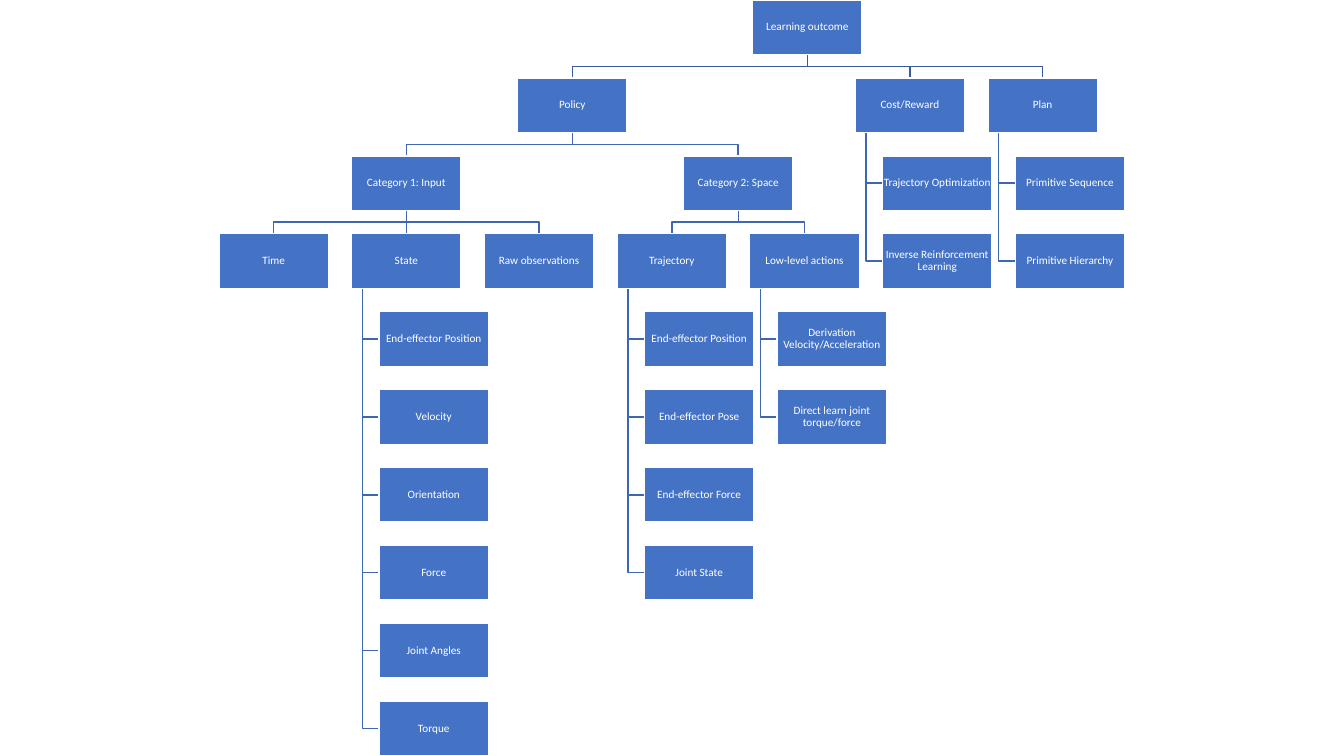
from lxml import etree
from pptx import Presentation
from pptx.dml.color import RGBColor
from pptx.enum.shapes import MSO_CONNECTOR, MSO_SHAPE
from pptx.enum.text import MSO_ANCHOR, PP_ALIGN
from pptx.oxml.ns import qn
from pptx.util import Pt

RECTANGLE = MSO_SHAPE.RECTANGLE
STRAIGHT = MSO_CONNECTOR.STRAIGHT
MIDDLE = MSO_ANCHOR.MIDDLE
CENTER = PP_ALIGN.CENTER

BOX_BLUE = RGBColor(0x44, 0x72, 0xC4)
TOP_BRANCH_BLUE = RGBColor(0x36, 0x5B, 0x9D)
BRANCH_BLUE = RGBColor(0x3E, 0x67, 0xB2)
WHITE = RGBColor(0xFF, 0xFF, 0xFF)

# All lengths are in points.
SLIDE_W, SLIDE_H = 960, 540
BOX_W, BOX_H = 78.25, 39.1
FIRST_LEFT, COLUMN_PITCH = 156.4, 94.8
ROW_PITCH = (SLIDE_H - BOX_H) / 9
INDENT = BOX_W / 4
STEM_OFFSET = BOX_W / 10

# Parents whose children sit side by side, lowest level first.
FORKS = {
    "Category 1: Input": ["Time", "State", "Raw observations"],
    "Category 2: Space": ["Trajectory", "Low-level actions"],
    "Policy": ["Category 1: Input", "Category 2: Space"],
    "Learning outcome": ["Policy", "Cost/Reward", "Plan"],
}
FORK_ROWS = {"Category 1: Input": 2, "Category 2: Space": 2, "Policy": 1, "Learning outcome": 0}

# Parents whose children hang below them from one stem.
STACKS = {
    "State": ["End-effector Position", "Velocity", "Orientation", "Force", "Joint Angles", "Torque"],
    "Trajectory": ["End-effector Position", "End-effector Pose", "End-effector Force", "Joint State"],
    "Low-level actions": ["Derivation Velocity/Acceleration", "Direct learn joint torque/force"],
    "Cost/Reward": ["Trajectory Optimization", "Inverse Reinforcement Learning"],
    "Plan": ["Primitive Sequence", "Primitive Hierarchy"],
}

prs = Presentation()
prs.slide_width, prs.slide_height = Pt(SLIDE_W), Pt(SLIDE_H)
slide = prs.slides.add_slide(prs.slide_layouts[6])


def add_branch(points, color):
    """Draw an open line through the points, straight or with corners."""
    corners = [(Pt(x), Pt(y)) for x, y in points]
    if corners[0][0] == corners[-1][0]:
        branch = slide.shapes.add_connector(STRAIGHT, *corners[0], *corners[-1])
        etree.SubElement(branch.line._get_or_add_ln().getparent(), qn("a:effectLst"))
    else:
        builder = slide.shapes.build_freeform(*corners[0])
        builder.add_line_segments(corners[1:], close=False)
        branch = builder.convert_to_shape()
        branch.fill.background()
        branch.shadow.inherit = False
    branch.line.color.rgb = color
    branch.line.width = Pt(1)


def add_topic(label, left, top):
    box = slide.shapes.add_shape(RECTANGLE, Pt(left), Pt(top), Pt(BOX_W), Pt(BOX_H))
    box.shadow.inherit = False
    box.fill.solid()
    box.fill.fore_color.rgb = BOX_BLUE
    box.line.color.rgb = WHITE
    box.line.width = Pt(1)
    frame = box.text_frame
    frame.word_wrap = True
    frame.vertical_anchor = MIDDLE
    frame.margin_left = frame.margin_right = Pt(0.4)
    frame.margin_top = frame.margin_bottom = Pt(0.4)
    paragraph = frame.paragraphs[0]
    paragraph.alignment = CENTER
    paragraph.line_spacing = 0.9
    run = paragraph.add_run()
    run.text = label
    run.font.name = "Calibri"
    run.font.size = Pt(8)
    run.font.color.rgb = WHITE


# Columns of the lower topics; the last two start one indent further left.
places = {}
for column, label in enumerate(["Time", "State", "Raw observations", "Trajectory", "Low-level actions"]):
    places[label] = (FIRST_LEFT + column * COLUMN_PITCH, 3 * ROW_PITCH)
for column, label in enumerate(["Cost/Reward", "Plan"], start=5):
    places[label] = (FIRST_LEFT + column * COLUMN_PITCH - INDENT, ROW_PITCH)

# Each fork is centred over its outer children.
for parent, children in FORKS.items():
    left = (places[children[0]][0] + places[children[-1]][0]) / 2
    places[parent] = (left, FORK_ROWS[parent] * ROW_PITCH)

# Branches lie behind the boxes.
for parent, children in FORKS.items():
    left, top = places[parent]
    start_x, start_y = left + BOX_W / 2, top + BOX_H
    color = TOP_BRANCH_BLUE if parent == "Learning outcome" else BRANCH_BLUE
    for child in children:
        child_left, child_top = places[child]
        end_x, middle_y = child_left + BOX_W / 2, (start_y + child_top) / 2
        add_branch([(start_x, start_y), (start_x, middle_y), (end_x, middle_y), (end_x, child_top)], color)

for parent, children in STACKS.items():
    left, top = places[parent]
    stem_x = left + STEM_OFFSET
    for step in range(len(children), 0, -1):
        child_y = top + step * ROW_PITCH + BOX_H / 2
        add_branch([(stem_x, top + BOX_H), (stem_x, child_y), (left + INDENT, child_y)], BRANCH_BLUE)

for label, (left, top) in places.items():
    add_topic(label, left, top)
    for step, child in enumerate(STACKS.get(label, []), start=1):
        add_topic(child, left + INDENT, top + step * ROW_PITCH)

prs.save("out.pptx")
